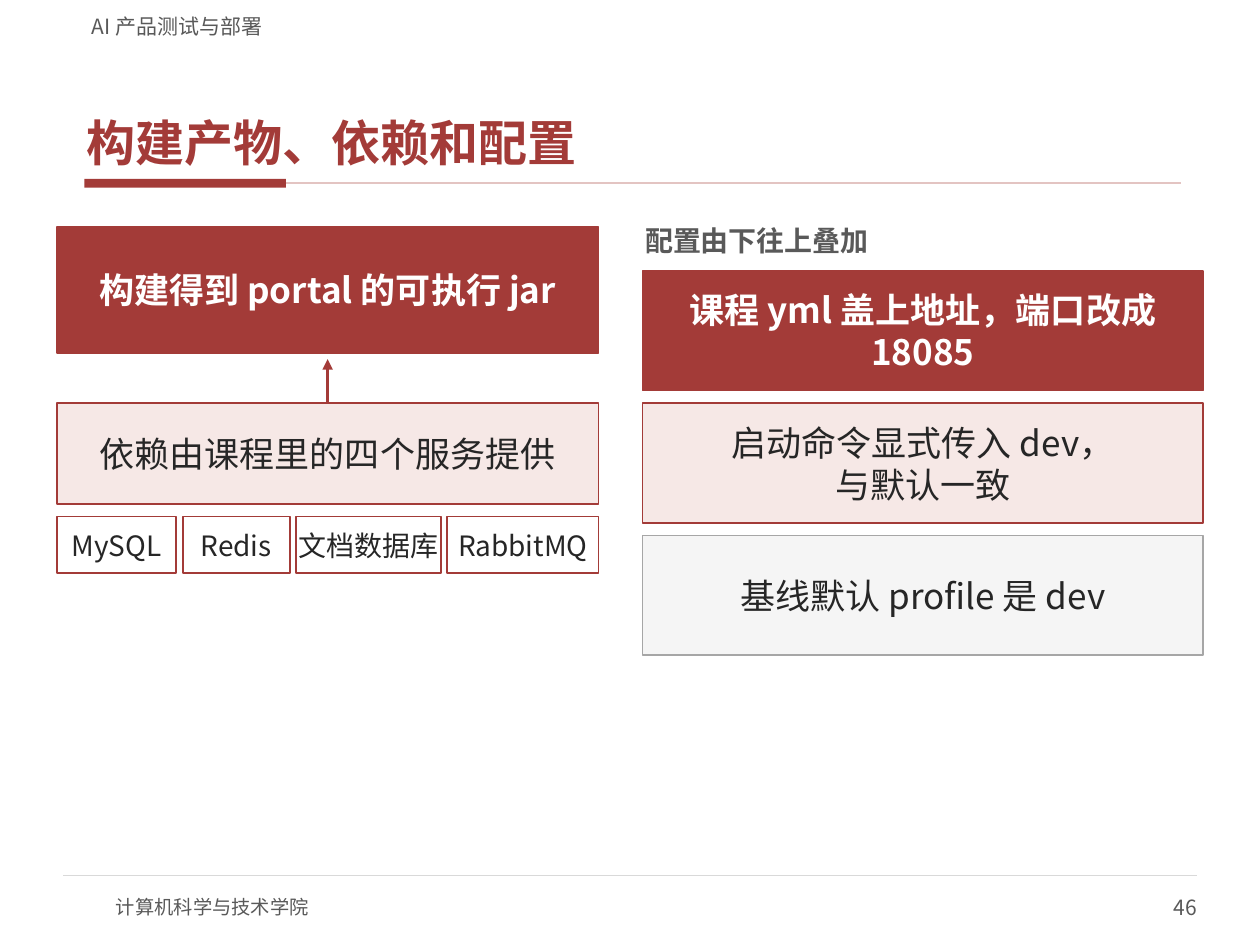
"""Build the slide on build artifact, dependencies and layered configuration."""
from lxml.etree import SubElement
from pptx import Presentation
from pptx.dml.color import RGBColor
from pptx.enum.shapes import MSO_CONNECTOR, MSO_SHAPE
from pptx.enum.text import MSO_ANCHOR, PP_ALIGN
from pptx.oxml.ns import qn
from pptx.util import Inches, Pt

RECT, STRAIGHT = MSO_SHAPE.RECTANGLE, MSO_CONNECTOR.STRAIGHT
MIDDLE, BOTTOM = MSO_ANCHOR.MIDDLE, MSO_ANCHOR.BOTTOM
LEFT, CENTER, RIGHT = PP_ALIGN.LEFT, PP_ALIGN.CENTER, PP_ALIGN.RIGHT
TOP_SIDE, RIGHT_SIDE = 0, 3

FONT = "Noto Sans CJK SC"
COLORS = {
    "red": "A33B38", "pink": "F6E8E6", "rule": "E3C4C2", "white": "FFFFFF",
    "ink": "262626", "gray": "595959", "mist": "F5F5F5", "edge": "A6A6A6",
    "hairline": "D9D9D9",
}
STYLES = {
    "strong": ("red", "red", "white", True),
    "soft": ("pink", "red", "ink", False),
    "base": ("mist", "edge", "ink", False),
    "plain": ("white", "red", "ink", False),
}

COURSE = "AI 产品测试与部署"
TITLE = "构建产物、依赖和配置"
SCHOOL, PAGE = "计算机科学与技术学院", "46"
ARTIFACT = "构建得到 portal 的可执行 jar"
DEPENDENCIES = "依赖由课程里的四个服务提供"
SERVICES = [("MySQL", 0.95), ("Redis", 0.85), ("文档数据库", 1.15), ("RabbitMQ", 1.2)]
LAYERS_HEADING = "配置由下往上叠加"
LAYERS = [
    ("课程 yml 盖上地址，端口改成 18085", "strong"),
    ("启动命令显式传入 dev，\v与默认一致", "soft"),
    ("基线默认 profile 是 dev", "base"),
]

WIDTH, HEIGHT = 10, 7.5
ACCENT_X, ACCENT_Y, ACCENT_W, ACCENT_H = 0.67, 1.42, 1.6, 0.07
BUILD_X, BUILD_W = 0.45, 4.3
LAYER_X, LAYER_W, LAYER_H = 5.1, 4.45, 0.95
ROW_GAP, SERVICE_GAP = 0.1, 0.05
ARTIFACT_Y, DEPENDENCY_Y, SERVICE_Y, LAYER_Y = 1.8, 3.2, 4.1, 2.15


def color(name):
    return RGBColor.from_string(COLORS[name])


def write(holder, text, size, ink, bold=False, align=LEFT, anchor=MIDDLE, inset=(0, 0)):
    frame = holder.text_frame
    frame.word_wrap = True
    frame.vertical_anchor = anchor
    frame.margin_left = frame.margin_right = Inches(inset[0])
    frame.margin_top = frame.margin_bottom = Inches(inset[1])
    frame.text = text
    paragraph = frame.paragraphs[0]
    paragraph.alignment = align
    font = paragraph.font
    font.size, font.bold, font.name = Pt(size), bold, FONT
    font.color.rgb = color(ink)
    defaults = paragraph._p.pPr.find(qn("a:defRPr"))
    SubElement(defaults, qn("a:ea"), typeface=FONT)


def add_label(slide, box, *args, **kwargs):
    write(slide.shapes.add_textbox(*map(Inches, box)), *args, **kwargs)


def add_block(slide, box, fill, edge):
    block = slide.shapes.add_shape(RECT, *map(Inches, box))
    block.shadow.inherit = False
    block.fill.solid()
    block.fill.fore_color.rgb = color(fill)
    if edge:
        block.line.color.rgb = color(edge)
        block.line.width = Pt(1)
    else:
        block.line.fill.background()
    return block


def add_card(slide, box, text, style, size=20, inset=(0.08, 0.04)):
    fill, edge, ink, bold = STYLES[style]
    card = add_block(slide, box, fill, edge)
    write(card, text, size, ink, bold, CENTER, inset=inset)
    return card


def add_line(slide, start, end, ink, weight):
    line = slide.shapes.add_connector(STRAIGHT, *map(Inches, (*start, *end)))
    line.line.color.rgb = color(ink)
    line.line.width = Pt(weight)
    SubElement(line._element.spPr, qn("a:effectLst"))
    return line


def add_frame(slide):
    accent = add_block(slide, (ACCENT_X, ACCENT_Y, ACCENT_W, ACCENT_H), "red", None)
    rule_y = ACCENT_Y + ACCENT_H / 2
    rule = add_line(slide, (ACCENT_X + ACCENT_W, rule_y), (9.37, rule_y), "rule", 1)
    rule.begin_connect(accent, RIGHT_SIDE)
    add_line(slide, (0.5, 6.95), (WIDTH - 0.5, 6.95), "hairline", 0.75)
    add_label(slide, (0.92, 7, 4, 0.4), SCHOOL, 11, "gray")
    add_label(slide, (7.5, 7, 2, 0.4), PAGE, 12, "gray", align=RIGHT)
    add_label(slide, (0.63, 0.33, 8.75, 1.05), TITLE, 28, "red", True,
              anchor=BOTTOM, inset=(0.06, 0.02))
    add_label(slide, (0.63, 0.04, 8.75, 0.27), COURSE, 12, "gray",
              anchor=BOTTOM, inset=(0.1, 0))


def add_build(slide):
    add_card(slide, (BUILD_X, ARTIFACT_Y, BUILD_W, 1), ARTIFACT, "strong")
    dependencies = add_card(slide, (BUILD_X, DEPENDENCY_Y, BUILD_W, 0.8),
                            DEPENDENCIES, "soft")
    x = BUILD_X
    for service, width in SERVICES:
        add_card(slide, (x, SERVICE_Y, width, 0.45), service, "plain", 16, (0.02, 0.01))
        x += width + SERVICE_GAP
    center = BUILD_X + BUILD_W / 2
    arrow = add_line(slide, (center, DEPENDENCY_Y), (center, 2.85), "red", 1.75)
    arrow.begin_connect(dependencies, TOP_SIDE)
    SubElement(arrow.line._get_or_add_ln(), qn("a:tailEnd"), type="triangle")


def add_layers(slide):
    add_label(slide, (LAYER_X, 1.75, LAYER_W, 0.32), LAYERS_HEADING, 16, "gray", True,
              inset=(0.02, 0.01))
    for row, (text, style) in enumerate(LAYERS):
        y = LAYER_Y + row * (LAYER_H + ROW_GAP)
        add_card(slide, (LAYER_X, y, LAYER_W, LAYER_H), text, style)


def main():
    deck = Presentation()
    deck.slide_width, deck.slide_height = Inches(WIDTH), Inches(HEIGHT)
    slide = deck.slides.add_slide(deck.slide_layouts[6])
    add_frame(slide)
    add_build(slide)
    add_layers(slide)
    deck.save("out.pptx")


if __name__ == "__main__":
    main()
